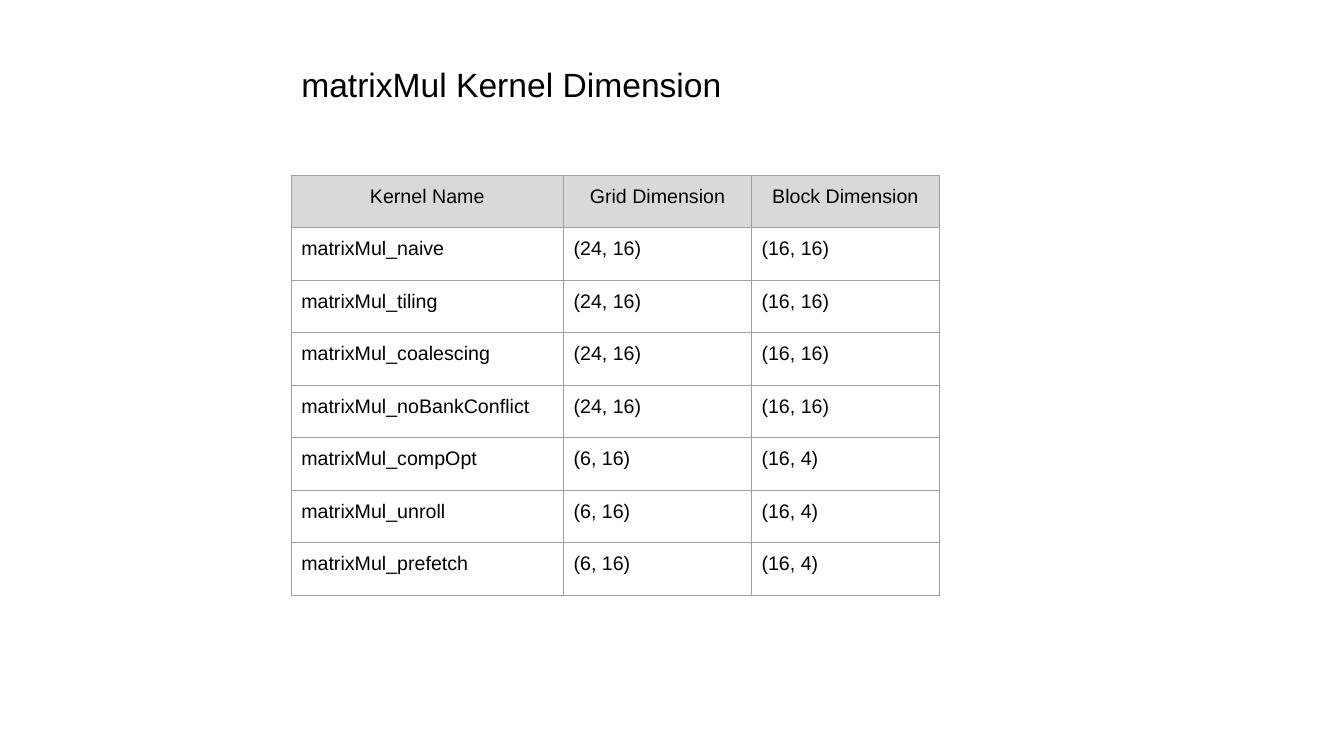
from lxml import etree
from pptx import Presentation
from pptx import util as u
from pptx.dml.color import RGBColor
from pptx.enum import text
from pptx.oxml import ns

FONT = "Arial"
INK = "000000"
HEADER_FILL = "D9D9D9"
BORDER = "9E9E9E"
INSET = 7.2
COLUMN_WIDTHS = [194.5, 134.25, 134.25]
HEADINGS = ["Kernel Name", "Grid Dimension", "Block Dimension"]
KERNEL_GROUPS = [
    (["naive", "tiling", "coalescing", "noBankConflict"], "(24, 16)", "(16, 16)"),
    (["compOpt", "unroll", "prefetch"], "(6, 16)", "(16, 4)"),
]


def colour(hex_value):
    return RGBColor.from_string(hex_value)


def write(frame, words, size, align):
    para = frame.paragraphs[0]
    para.alignment = align
    span = para.add_run()
    span.text = words
    span.font.name = FONT
    span.font.size = u.Pt(size)
    span.font.color.rgb = colour(INK)


def outline_cell(cell, width):
    properties = cell._tc.get_or_add_tcPr()
    for index, side in enumerate(["lnL", "lnR", "lnT", "lnB"]):
        line = etree.Element(ns.qn("a:" + side), w=str(u.Pt(width)))
        fill = etree.SubElement(line, ns.qn("a:solidFill"))
        etree.SubElement(fill, ns.qn("a:srgbClr"), val=BORDER)
        properties.insert(index, line)


def add_title(page, box, words):
    title = page.shapes.title
    title.left, title.top, title.width, title.height = map(u.Pt, box)
    frame = title.text_frame
    frame.word_wrap = True
    frame.auto_size = text.MSO_AUTO_SIZE.NONE
    frame.vertical_anchor = text.MSO_ANCHOR.MIDDLE
    frame.margin_left = frame.margin_right = u.Pt(INSET)
    frame.margin_top = frame.margin_bottom = u.Pt(0)
    write(frame, words, 24, text.PP_ALIGN.LEFT)


def add_dimension_table(page, box, rows):
    table = page.shapes.add_table(len(rows), len(HEADINGS), *map(u.Pt, box)).table
    table.horz_banding = False
    for column, width in zip(table.columns, COLUMN_WIDTHS):
        column.width = u.Pt(width)
    for row_index, values in enumerate(rows):
        table.rows[row_index].height = u.Pt(box[3] / len(rows))
        is_header = row_index == 0
        for column_index, value in enumerate(values):
            cell = table.cell(row_index, column_index)
            cell.margin_left = cell.margin_right = u.Pt(INSET)
            cell.margin_top = cell.margin_bottom = u.Pt(INSET)
            if is_header:
                cell.fill.solid()
                cell.fill.fore_color.rgb = colour(HEADER_FILL)
            else:
                cell.fill.background()
            outline_cell(cell, 0.75)
            align = text.PP_ALIGN.CENTER if is_header else text.PP_ALIGN.LEFT
            write(cell.text_frame, value, 14, align)
            cell.text_frame.paragraphs[0].runs[0].font.bold = False


def build_kernel_slide(deck):
    page = deck.slides.add_slide(deck.slide_layouts[5])
    add_title(page, (208, 42, 445, 36), "matrixMul Kernel Dimension")
    kernels = [
        ["matrixMul_" + name, grid, block]
        for names, grid, block in KERNEL_GROUPS
        for name in names
    ]
    add_dimension_table(page, (208, 125.25, sum(COLUMN_WIDTHS), 300), [HEADINGS] + kernels)


deck = Presentation()
deck.slide_width = u.Pt(960)
deck.slide_height = u.Pt(540)
build_kernel_slide(deck)
deck.save("out.pptx")
